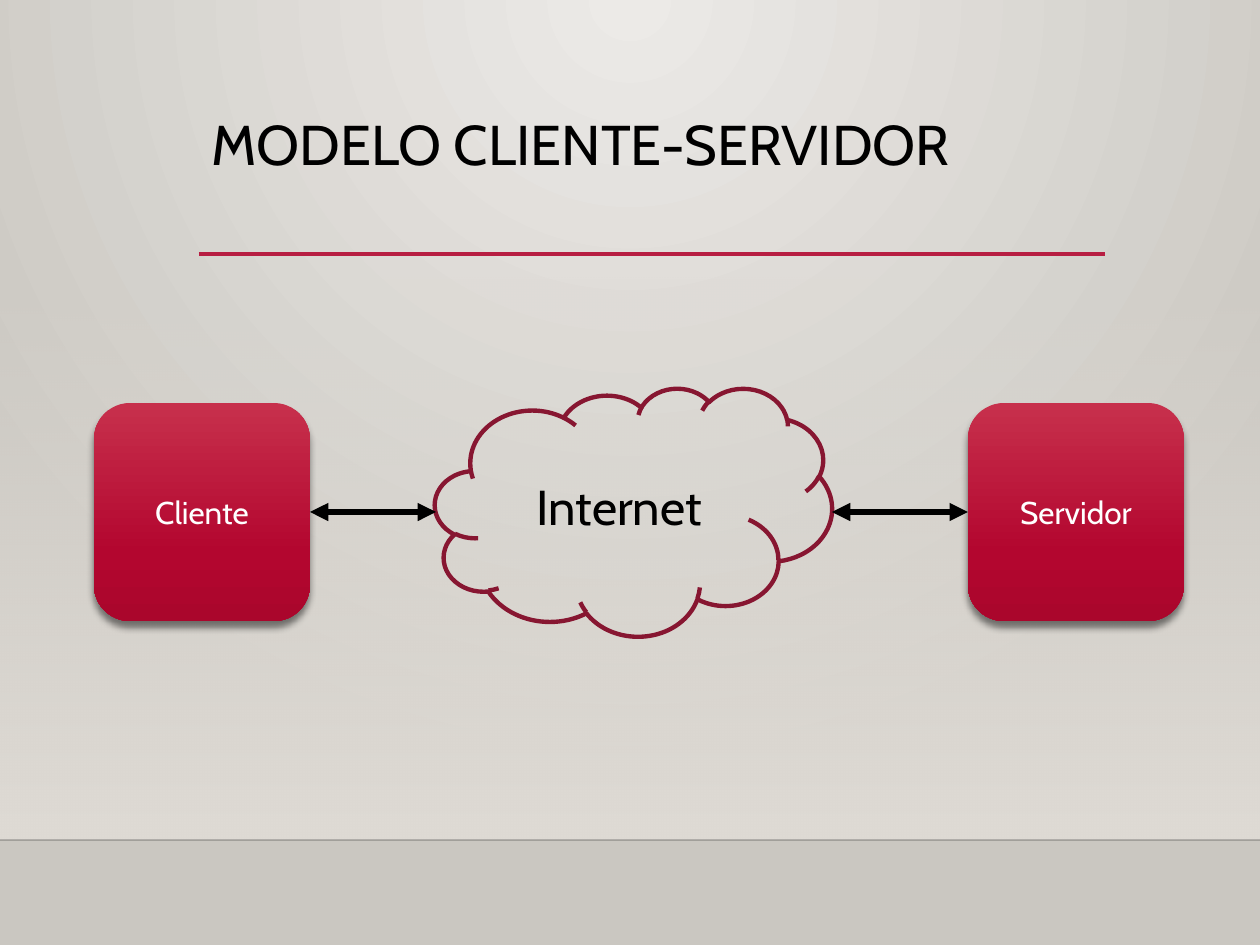
"""Builds the client-server model slide."""
from lxml.etree import SubElement as Sub
from pptx import Presentation
from pptx.dml.color import RGBColor as Rgb
from pptx.enum.shapes import MSO_CONNECTOR as Conn, MSO_SHAPE as Geo
from pptx.enum.text import MSO_ANCHOR as Anchor, PP_ALIGN as Align
from pptx.oxml.ns import qn
from pptx.util import Emu, Pt

THEME = {
    "font": "Cabin", "ink": "000000", "white": "FFFFFF",
    "rule": "B71E42", "cloud": "871631",
    "title": 32, "node": 18, "net": 28,
    "back": [(0, "ECEAE7", 100), (100, "CAC7C1", 100)],
    "band": [(0, "DFDBD5", 0), (100, "DFDBD5", 100)],
    "box": [(0, "C7304C", 100), (69, "B3062F", 100), (100, "AA062C", 100)],
}
PX = 914400 // 126
WIDE, HIGH = 1260, 945
TITLE = ("MODELO CLIENTE-SERVIDOR", (199, 111, 906, 145))
NODES = [("Cliente", 94), ("Servidor", 968)]
TOP, SIDE, TALL = 403, 216, 218
CLOUD = ("Internet", (435, 388, 397, 248))
BAND = (0, 277, WIDE, 563)
MID = TOP + TALL // 2
RULES = [
    ((0, 840, WIDE, 840), {"color": "000001", "width": 1, "alpha": 20}),
    ((199, 254, 1105, 254), {"color": THEME["rule"], "width": 2.5}),
]
LINKS = [(NODES[0][1] + SIDE, 436), (832, NODES[1][1])]


def px(*nums):
    return [Emu(num * PX) for num in nums]


def put(item, vals):
    for key, val in vals.items():
        setattr(item, key, val)


def tint(node, color, alpha=100):
    clr = Sub(node, qn("a:srgbClr"), val=color)
    if alpha < 100:
        Sub(clr, qn("a:alpha"), val=str(alpha * 1000))


def blend(root, fill, stops, focus=None):
    fill.solid()
    old = root.find(".//" + qn("a:solidFill"))
    home = old.getparent()
    grad = home.makeelement(qn("a:gradFill"), {"rotWithShape": "1"})
    home.replace(old, grad)
    row = Sub(grad, qn("a:gsLst"))
    for pos, color, alpha in stops:
        tint(Sub(row, qn("a:gs"), pos=str(pos * 1000)), color, alpha)
    if focus:
        way = Sub(grad, qn("a:path"), path="circle")
        Sub(way, qn("a:fillToRect"),
            {side: str(val * 1000) for side, val in zip("ltrb", focus)})
    else:
        Sub(grad, qn("a:lin"), ang="5400000", scaled="0")


def write(frame, text, size, color, **form):
    frame.word_wrap = True
    frame.vertical_anchor = form.pop("anchor", Anchor.MIDDLE)
    para = frame.paragraphs[0]
    put(para, {"alignment": Align.CENTER, **form})
    run = para.add_run()
    run.text = text
    put(run.font, {"name": THEME["font"], "size": Pt(size)})
    run.font.color.rgb = Rgb.from_string(color)


def shape(kind, area):
    item = slide.shapes.add_shape(kind, *px(*area))
    item.shadow.inherit = False
    item.line.fill.background()
    return item


def line(ends, color, width, alpha=100, heads=False):
    item = slide.shapes.add_connector(Conn.STRAIGHT, *px(*ends))
    item.line.width = Pt(width)
    item.line.color.rgb = Rgb.from_string(color)
    props = item._element.spPr
    stroke = props.find(qn("a:ln"))
    if alpha < 100:
        clr = stroke.find(".//" + qn("a:srgbClr"))
        Sub(clr, qn("a:alpha"), val=str(alpha * 1000))
    if heads:
        for end in ("headEnd", "tailEnd"):
            Sub(stroke, qn("a:" + end), type="triangle")
    Sub(props, qn("a:effectLst"))


deck = Presentation()
put(deck, dict(zip(("slide_width", "slide_height"), px(WIDE, HIGH))))
slide = deck.slides.add_slide(deck.slide_layouts[6])
blend(slide._element, slide.background.fill, THEME["back"], (43, 0, 43, 100))

band = shape(Geo.RECTANGLE, BAND)
blend(band._element, band.fill, THEME["band"])
for ends, form in RULES:
    line(ends, **form)

text, area = TITLE
title = slide.shapes.add_textbox(*px(*area))
write(title.text_frame, text, THEME["title"], THEME["ink"],
      anchor=Anchor.TOP, alignment=Align.LEFT, line_spacing=0.9)

for text, left in NODES:
    box = shape(Geo.ROUNDED_RECTANGLE, (left, TOP, SIDE, TALL))
    blend(box._element, box.fill, THEME["box"])
    cast = Sub(box._element.spPr.find(qn("a:effectLst")), qn("a:outerShdw"),
               blurRad=str(Pt(4)), dist=str(Pt(4)), dir="5400000",
               rotWithShape="0")
    tint(cast, THEME["ink"], 48)
    write(box.text_frame, text, THEME["node"], THEME["white"])

text, area = CLOUD
cloud = shape(Geo.CLOUD, area)
cloud.fill.background()
cloud.line.color.rgb = Rgb.from_string(THEME["cloud"])
cloud.line.width = Pt(2.5)
write(cloud.text_frame, text, THEME["net"], THEME["ink"])

for start, stop in LINKS:
    line((start, MID, stop, MID), THEME["ink"], 3.5, heads=True)

deck.save("out.pptx")
